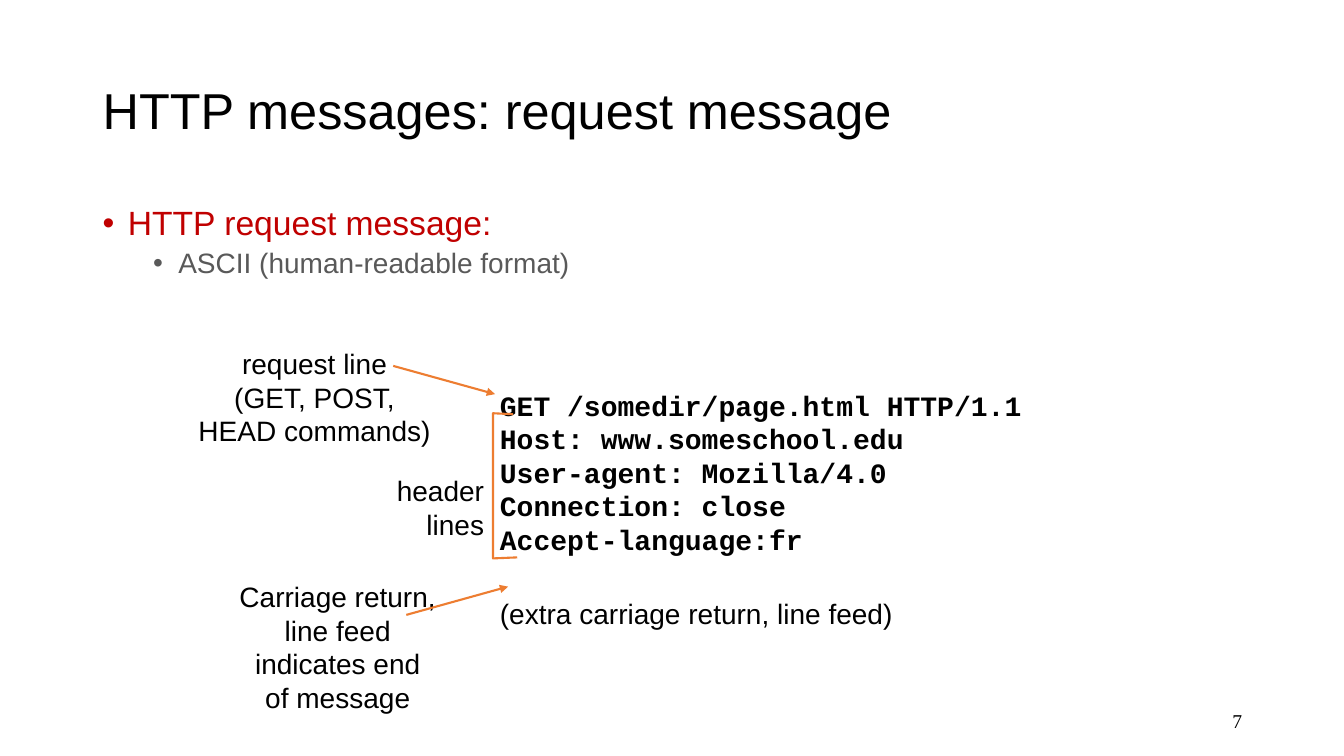
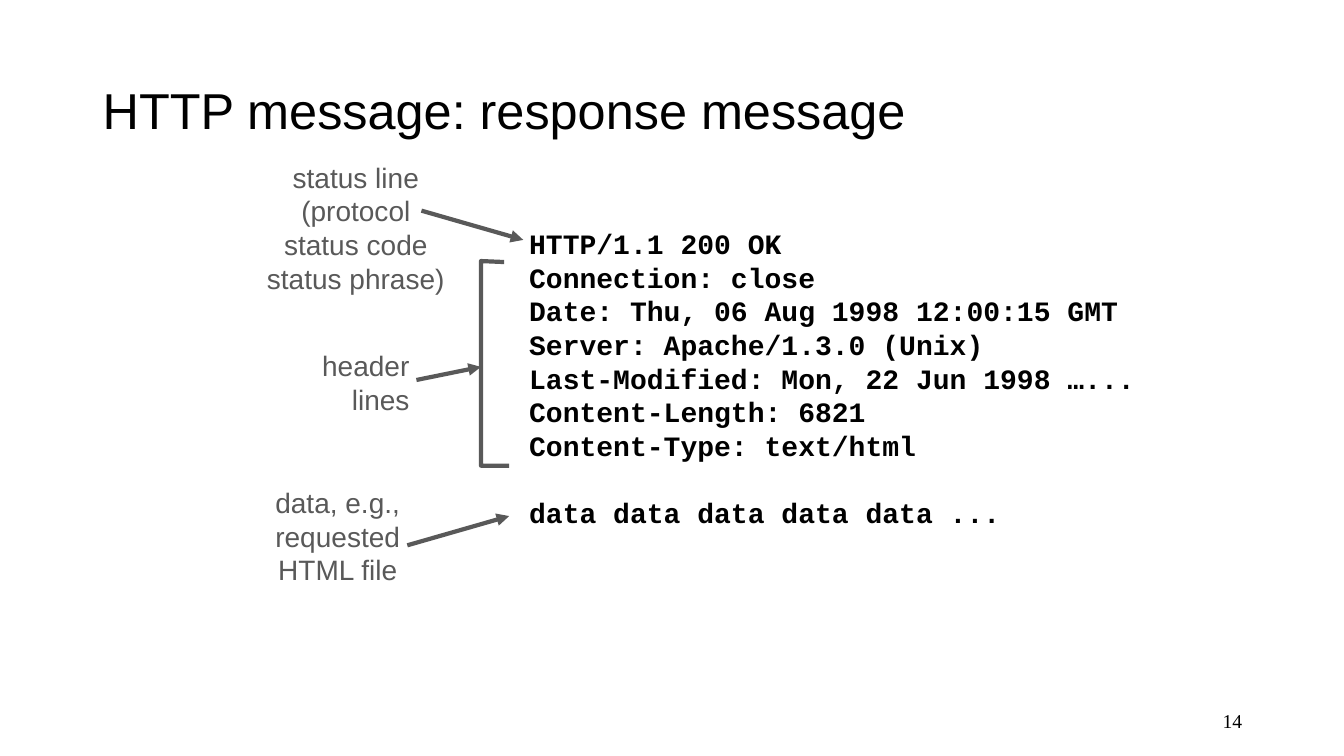
from lxml import etree
from pptx import Presentation
from pptx.dml.color import RGBColor
from pptx.enum.shapes import MSO_CONNECTOR
from pptx.enum.text import MSO_ANCHOR, PP_ALIGN
from pptx.oxml.ns import qn
from pptx.util import Inches, Pt

BLACK, GRAY, RED, ORANGE = "000000", "595959", "C00000", "ED7D31"
LEFT, CENTER, RIGHT = PP_ALIGN.LEFT, PP_ALIGN.CENTER, PP_ALIGN.RIGHT
WIDTH, HEIGHT = 13.33, 7.5
MARGIN, CONTENT_WIDTH = 0.92, 11.5
LINE = Pt(24)

TITLE = {"size": 36, "spacing": 0.9, "anchor": MSO_ANCHOR.MIDDLE}
NUMBER = {"size": 14, "font": "Times New Roman", "align": RIGHT,
          "anchor": MSO_ANCHOR.MIDDLE}
CODE = {"font": "Courier New", "bold": True, "spacing": LINE}

# Bullets: text, size, colour, indent in inches, space before in points
# Message groups: lines, style changes, space before in points
# Labels: lines, box, alignment; arrows: from, to
SLIDES = [
    {
        "title": "HTTP messages: request message",
        "number": "7",
        "bullets": [
            ("HTTP request message:", 24, RED, 0.25, 0),
            ("ASCII (human-readable format)", 20, GRAY, 0.75, 5),
        ],
        "message_box": (4.86, 3.8, 5.6, 2.59),
        "message": [
            (["GET /somedir/page.html HTTP/1.1",
              "Host: www.someschool.edu",
              "User-agent: Mozilla/4.0",
              "Connection: close",
              "Accept-language:fr"], {}, 0),
            (["(extra carriage return, line feed)"],
             {"font": "Arial", "bold": False}, 29),
        ],
        "label_color": BLACK,
        "labels": [
            (["request line", "(GET, POST,", "HEAD commands)"],
             (1.82, 3.39, 2.6, 1.11), CENTER),
            (["header", "lines"], (3.79, 4.65, 1.11, 0.77), RIGHT),
            (["Carriage return,", "line feed", "indicates end", "of message"],
             (2.23, 5.7, 2.24, 1.45), CENTER),
        ],
        "line": (ORANGE, 1.5),
        "arrows": [((3.9, 3.63), (4.91, 3.91)), ((4.03, 6.1), (5.04, 5.82))],
        "bracket": [(5.09, 4.11), (4.89, 4.1), (4.89, 5.54), (5.13, 5.53)],
    },
    {
        "title": "HTTP message: response message",
        "number": "14",
        "bullets": [],
        "message_box": (5.15, 2.2, 6.5, 3.1),
        "message": [
            (["HTTP/1.1 200 OK",
              "Connection: close",
              "Date: Thu, 06 Aug 1998 12:00:15 GMT",
              "Server: Apache/1.3.0 (Unix)",
              "Last-Modified: Mon, 22 Jun 1998 …...",
              "Content-Length: 6821",
              "Content-Type: text/html"], {}, 0),
            (["data data data data data ..."], {}, 24),
        ],
        "label_color": GRAY,
        "labels": [
            (["status line", "(protocol", "status code", "status phrase)"],
             (2.48, 1.54, 2.1, 1.45), CENTER),
            (["header", "lines"], (3.05, 3.41, 1.11, 0.77), RIGHT),
            (["data, e.g.,", "requested", "HTML file"],
             (2.58, 4.77, 1.54, 1.1), CENTER),
        ],
        "line": (GRAY, 3),
        "arrows": [((4.18, 2.09), (5.19, 2.38)), ((4.04, 5.41), (5.05, 5.12)),
                   ((4.13, 3.77), (4.77, 3.64))],
        "bracket": [(5, 2.6), (4.77, 2.59), (4.77, 4.62), (5.05, 4.62)],
    },
]


def rgb(color):
    return RGBColor.from_string(color)


def add_bullet(para, indent):
    """Hang a round bullet a quarter inch before the indent."""
    props = para._p.get_or_add_pPr()
    props.set("marL", str(Inches(indent)))
    props.set("indent", str(-Inches(0.25)))
    etree.SubElement(props, qn("a:buFont")).set("typeface", "Arial")
    etree.SubElement(props, qn("a:buChar")).set("char", "•")


def add_text(page, place, paragraphs):
    """Fill one text box with (text, style) paragraphs."""
    frame = page.shapes.add_textbox(*map(Inches, place)).text_frame
    frame.word_wrap = True
    frame.vertical_anchor = paragraphs[0][1].get("anchor", MSO_ANCHOR.TOP)
    for index, (text, style) in enumerate(paragraphs):
        para = frame.add_paragraph() if index else frame.paragraphs[0]
        formats = {"alignment": style.get("align", LEFT),
                   "line_spacing": style.get("spacing", 1.0),
                   "space_before": Pt(style.get("before", 0))}
        for name, value in formats.items():
            setattr(para, name, value)
        if "indent" in style:
            add_bullet(para, style["indent"])
        span = para.add_run()
        span.text = text
        fonts = {"name": style.get("font", "Arial"),
                 "size": Pt(style.get("size", 20)),
                 "bold": style.get("bold", False)}
        for name, value in fonts.items():
            setattr(span.font, name, value)
        span.font.color.rgb = rgb(style.get("color", BLACK))


def style_line(shape, color, width):
    shape.line.color.rgb = rgb(color)
    shape.line.width = Pt(width)


def add_arrow(page, start, end, line):
    arrow = page.shapes.add_connector(
        MSO_CONNECTOR.STRAIGHT, *map(Inches, start + end))
    style_line(arrow, *line)
    etree.SubElement(arrow.line._get_or_add_ln(),
                     qn("a:tailEnd")).set("type", "triangle")
    etree.SubElement(arrow._element.spPr, qn("a:effectLst"))


def add_bracket(page, points, line):
    first, *rest = [tuple(map(Inches, point)) for point in points]
    builder = page.shapes.build_freeform(*first)
    builder.add_line_segments(rest, close=False)
    bracket = builder.convert_to_shape()
    bracket.fill.background()
    bracket.shadow.inherit = False
    style_line(bracket, *line)


def message_paragraphs(groups):
    return [(text, {**CODE, **change, "before": 0 if index else gap})
            for lines, change, gap in groups
            for index, text in enumerate(lines)]


def build_page(deck, content):
    page = deck.slides.add_slide(deck.slide_layouts[6])
    add_text(page, (9.42, 6.95, 3, 0.4), [(content["number"], NUMBER)])
    add_text(page, (MARGIN, 0.4, CONTENT_WIDTH, 1.45),
             [(content["title"], TITLE)])
    if content["bullets"]:
        add_text(page, (MARGIN, 2, CONTENT_WIDTH, 1.2), [
            (text, {"size": size, "color": color, "indent": indent,
                    "before": before, "spacing": 0.9})
            for text, size, color, indent, before in content["bullets"]])
    add_text(page, content["message_box"],
             message_paragraphs(content["message"]))
    for lines, place, align in content["labels"]:
        style = {"color": content["label_color"], "align": align,
                 "spacing": LINE}
        add_text(page, place, [(text, style) for text in lines])
    for start, end in content["arrows"]:
        add_arrow(page, start, end, content["line"])
    add_bracket(page, content["bracket"], content["line"])


def main():
    deck = Presentation()
    deck.slide_width, deck.slide_height = Inches(WIDTH), Inches(HEIGHT)
    for content in SLIDES:
        build_page(deck, content)
    deck.save("out.pptx")


if __name__ == "__main__":
    main()
